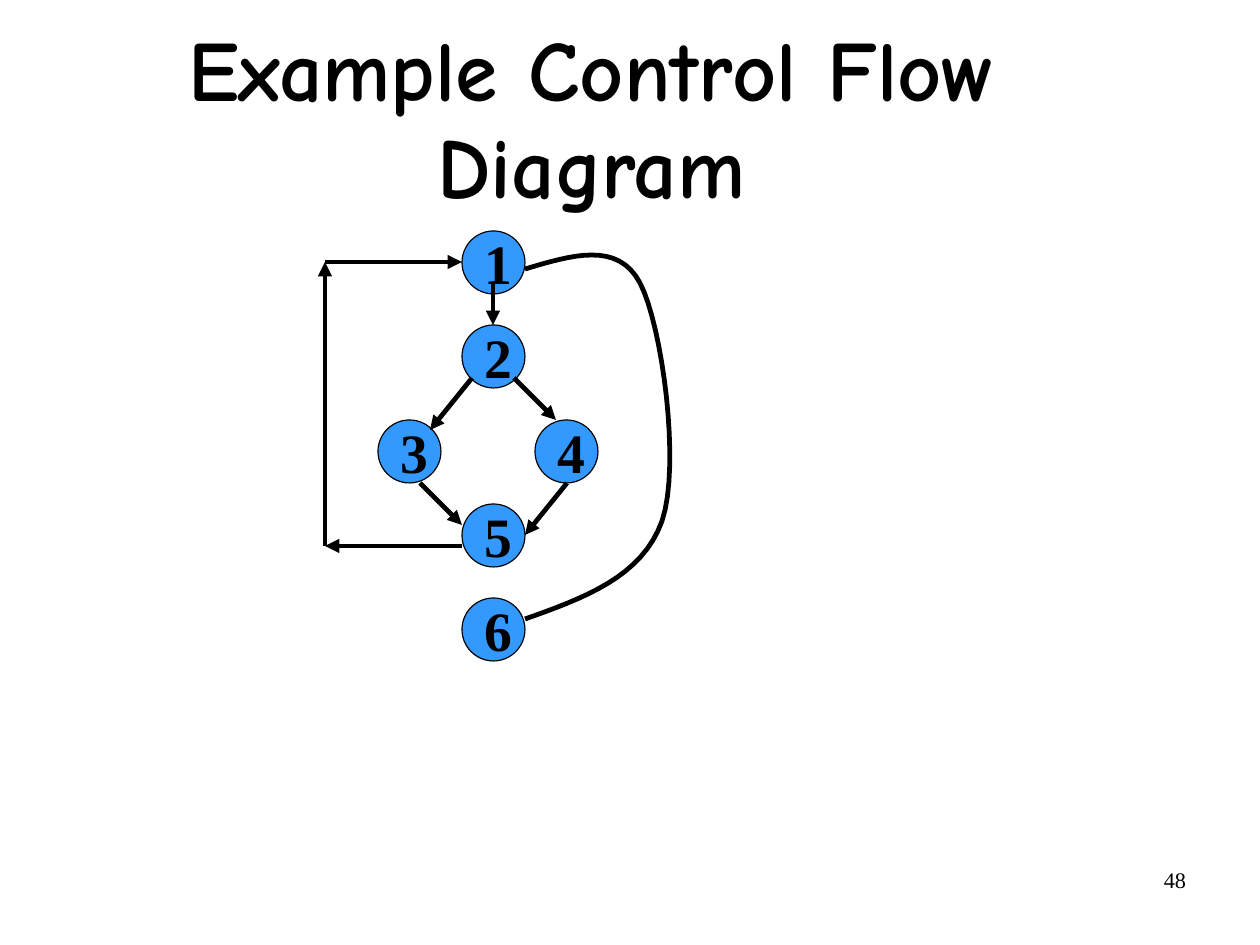
from dataclasses import dataclass

from lxml.etree import SubElement
from pptx import Presentation
from pptx.dml.color import RGBColor
from pptx.enum.shapes import MSO_CONNECTOR, MSO_SHAPE
from pptx.enum.text import MSO_ANCHOR, MSO_AUTO_SIZE, PP_ALIGN
from pptx.oxml.ns import qn
from pptx.slide import Slide
from pptx.text.text import TextFrame
from pptx.util import Emu, Pt

EMU_PER_PX = 8000  # 1260 by 945 px make a page of 28 by 21 cm
COLORS = {"ink": "000000", "node": "3399FF", "page": "FFFFFF"}
TITLE_FONT = "Comic Neue"
TEXT_FONT = "Times New Roman"
NODE_SIZE = 63
CURVE_STEPS = 16

Point = tuple[int, int]


@dataclass(frozen=True)
class Node:
    label: str
    left: int
    top: int


@dataclass(frozen=True)
class Arrow:
    start: Point
    end: Point


@dataclass(frozen=True)
class Bezier:
    start: Point
    control_1: Point
    control_2: Point
    end: Point


NODES = [
    Node("1", 462, 231),
    Node("2", 462, 325),
    Node("3", 378, 420),
    Node("4", 535, 420),
    Node("5", 462, 504),
    Node("6", 462, 598),
]

LOOP_BOTTOM, LOOP_TOP = (325, 546), (325, 262)
ARROWS = [
    Arrow((493, 283), (493, 325)),
    Arrow((472, 378), (430, 430)),
    Arrow((514, 378), (556, 420)),
    Arrow((420, 483), (462, 525)),
    Arrow((567, 483), (525, 535)),
    Arrow((462, 546), LOOP_BOTTOM),
    Arrow(LOOP_BOTTOM, LOOP_TOP),
    Arrow(LOOP_TOP, (462, 262)),
]

EXIT_CURVE = [
    Bezier((525, 269), (572, 255), (618, 241), (640, 283)),
    Bezier((640, 283), (662, 325), (681, 465), (662, 521)),
    Bezier((662, 521), (642, 577), (584, 598), (525, 619)),
]


def px(length: float) -> Emu:
    return Emu(round(length * EMU_PER_PX))


def color(name: str) -> RGBColor:
    return RGBColor.from_string(COLORS[name])


def format_text(frame: TextFrame, font: str, size: int, bold: bool,
                align: PP_ALIGN, inset_x: int, inset_y: int) -> None:
    frame.margin_left = frame.margin_right = px(inset_x)
    frame.margin_top = frame.margin_bottom = px(inset_y)
    frame.word_wrap = True
    for para in frame.paragraphs:
        para.alignment = align
        for span in para.runs:
            span.font.name = font
            span.font.size = Pt(size)
            span.font.bold = bold
            span.font.color.rgb = color("ink")


def set_title(page: Slide) -> None:
    title = page.shapes.title
    title.left, title.top, title.width, title.height = map(px, (56, 42, 1071, 158))
    frame = title.text_frame
    frame.text = "Example Control Flow Diagram"
    frame.auto_size = MSO_AUTO_SIZE.NONE
    frame.vertical_anchor = MSO_ANCHOR.MIDDLE
    frame.paragraphs[0].line_spacing = 0.94
    format_text(frame, TITLE_FONT, 54, True, PP_ALIGN.CENTER, 0, 0)


def add_page_number(page: Slide) -> None:
    box = page.shapes.add_textbox(px(903), px(860), px(294), px(65))
    box.text_frame.text = "48"
    format_text(box.text_frame, TEXT_FONT, 14, False, PP_ALIGN.RIGHT, 11, 6)


def add_node(page: Slide, node: Node) -> None:
    circle = page.shapes.add_shape(MSO_SHAPE.OVAL, px(node.left), px(node.top),
                                   px(NODE_SIZE), px(NODE_SIZE))
    circle.shadow.inherit = False
    circle.fill.solid()
    circle.fill.fore_color.rgb = color("node")
    circle.line.color.rgb = color("ink")
    circle.line.width = Pt(0.75)
    frame = circle.text_frame
    frame.text = node.label
    frame.vertical_anchor = MSO_ANCHOR.MIDDLE
    format_text(frame, TEXT_FONT, 35, True, PP_ALIGN.CENTER, 13, 6)


def add_arrow(page: Slide, arrow: Arrow) -> None:
    connector = page.shapes.add_connector(
        MSO_CONNECTOR.STRAIGHT, *map(px, arrow.start + arrow.end))
    connector.line.color.rgb = color("ink")
    connector.line.width = Pt(3)
    properties = connector._element.spPr
    SubElement(properties.find(qn("a:ln")), qn("a:tailEnd"), type="triangle")
    SubElement(properties, qn("a:effectLst"))


def point_on(curve: Bezier, t: float) -> tuple[Emu, Emu]:
    weights = ((1 - t) ** 3, 3 * t * (1 - t) ** 2, 3 * t ** 2 * (1 - t), t ** 3)
    points = (curve.start, curve.control_1, curve.control_2, curve.end)
    x, y = (sum(w * point[axis] for w, point in zip(weights, points))
            for axis in (0, 1))
    return px(x), px(y)


def add_curve(page: Slide, curves: list[Bezier]) -> None:
    """Draw joined Bezier curves as one open outline of short segments."""
    builder = page.shapes.build_freeform(*map(px, curves[0].start))
    builder.add_line_segments(
        [point_on(curve, step / CURVE_STEPS)
         for curve in curves for step in range(1, CURVE_STEPS + 1)],
        close=False)
    outline = builder.convert_to_shape()
    outline.shadow.inherit = False
    outline.fill.background()
    outline.line.color.rgb = color("ink")
    outline.line.width = Pt(3)


def main() -> None:
    deck = Presentation()
    deck.slide_width, deck.slide_height = px(1260), px(945)
    page = deck.slides.add_slide(deck.slide_layouts[5])
    page.background.fill.solid()
    page.background.fill.fore_color.rgb = color("page")
    add_page_number(page)
    set_title(page)
    for node in NODES:
        add_node(page, node)
    for arrow in ARROWS:
        add_arrow(page, arrow)
    add_curve(page, EXIT_CURVE)
    deck.save("out.pptx")


if __name__ == "__main__":
    main()
